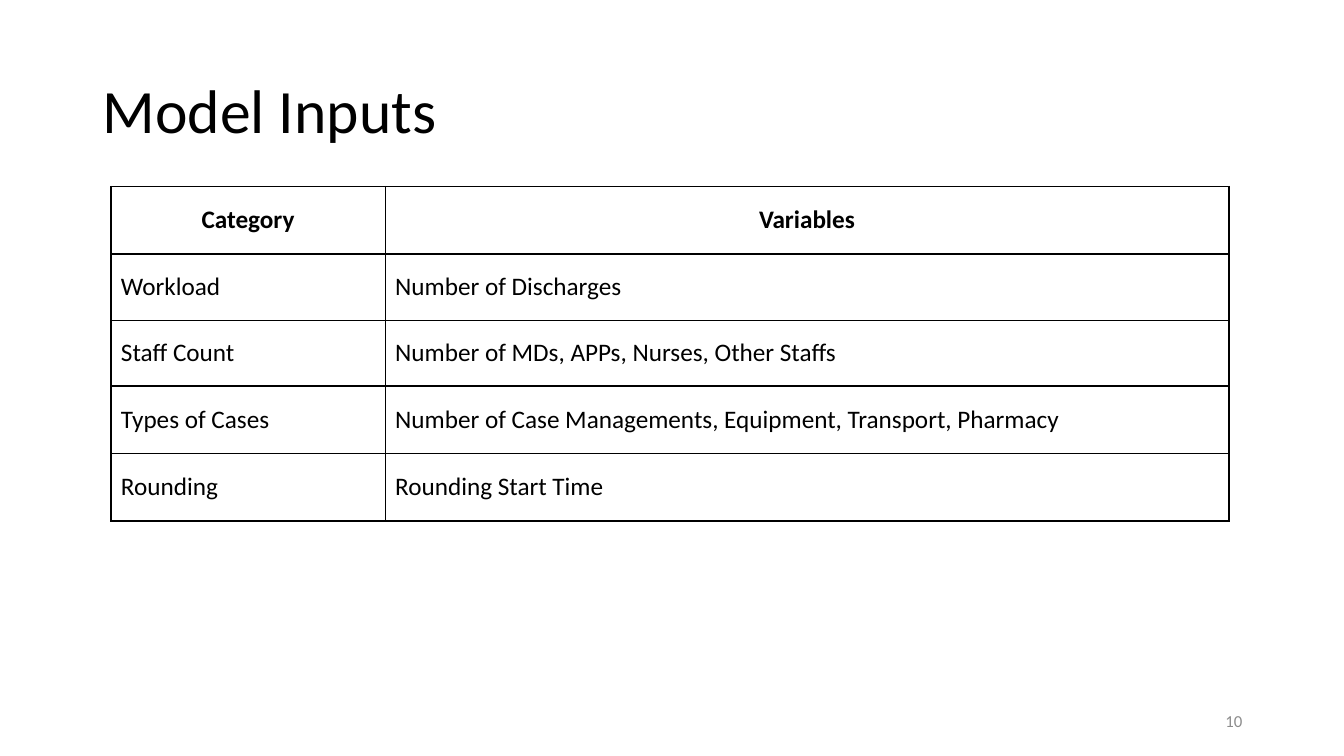
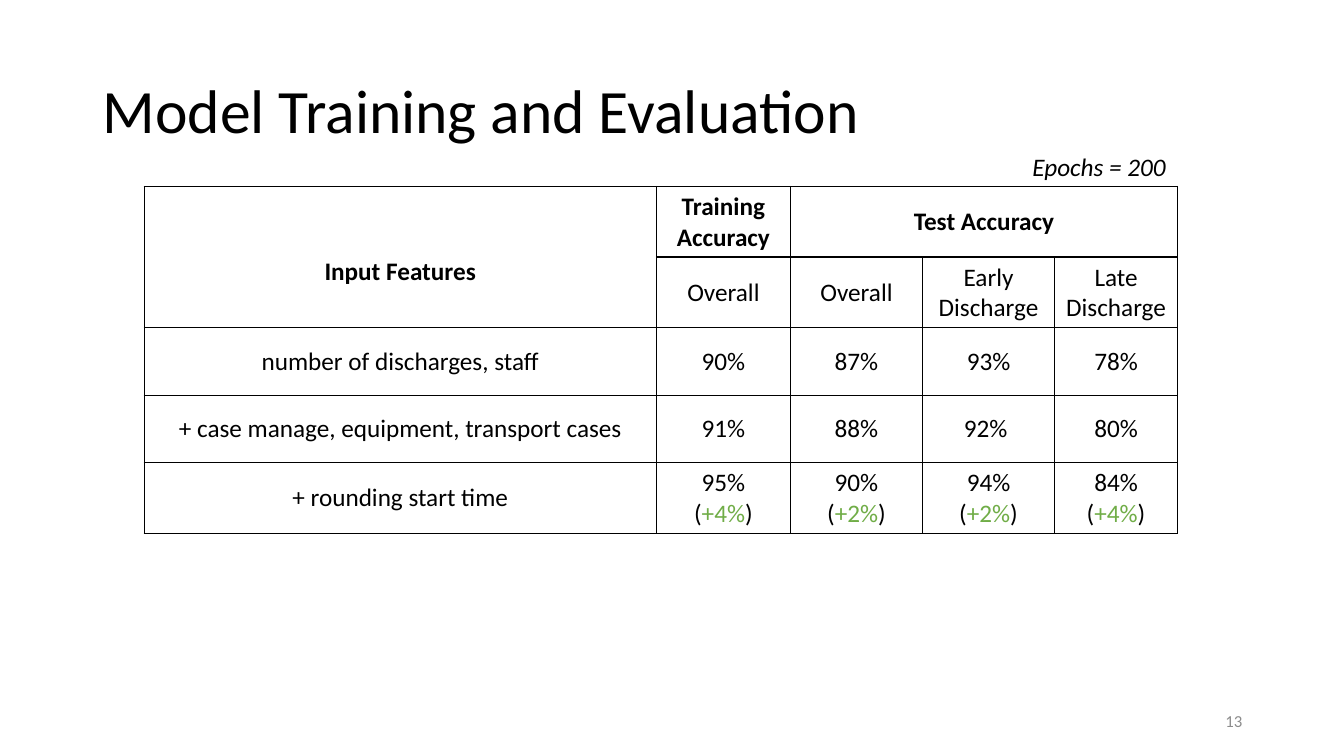
from lxml import etree
from pptx import Presentation
from pptx.dml.color import RGBColor
from pptx.enum.text import MSO_ANCHOR, MSO_AUTO_SIZE, PP_ALIGN
from pptx.oxml.ns import qn
from pptx.util import Emu, Pt

PX = 9144
BLACK = RGBColor(0x00, 0x00, 0x00)
GREY = RGBColor(0x8C, 0x8C, 0x8C)
GREEN = RGBColor(0x70, 0xAD, 0x47)
FONT = "Calibri"
LEFT, CENTER, RIGHT = PP_ALIGN.LEFT, PP_ALIGN.CENTER, PP_ALIGN.RIGHT
MIDDLE, TOP = MSO_ANCHOR.MIDDLE, MSO_ANCHOR.TOP
NO_AUTOFIT = MSO_AUTO_SIZE.NONE
TITLE_ONLY = 5

TITLE_BOX = (92, 40, 1150, 145)
NUMBER_BOX = (942, 695, 300, 40)
EPOCHS_BOX = (1014, 145, 156, 40)
TABLE_TOP = 185
HEADER_DROP = 35

INPUT_COLUMNS = (272, 837)
INPUT_ROW_HEIGHTS = (67, 66, 65, 67, 67)
INPUT_ROWS = (
    ("Category", "Variables"),
    ("Workload", "Number of Discharges"),
    ("Staff Count", "Number of MDs, APPs, Nurses, Other Staffs"),
    ("Types of Cases",
     "Number of Case Managements, Equipment, Transport, Pharmacy"),
    ("Rounding", "Rounding Start Time"),
)

ACCURACY_COLUMNS = (508, 133, 131, 131, 122)
ACCURACY_ROW_HEIGHTS = (67, 58, 67, 67, 67)
ACCURACY_ROWS = (
    ("Input Features", "Training Accuracy", "Test Accuracy", "", ""),
    ("", "Overall", "Overall", "Early Discharge", "Late Discharge"),
    ("number of discharges, staff", "90%", "87%", "93%", "78%"),
    ("+ case manage, equipment, transport cases",
     "91%", "88%", "92% ", "80%"),
    ("+ rounding start time",
     ("95%", "+4%"), ("90%", "+2%"), ("94%", "+2%"), ("84%", "+4%")),
)


def px(*lengths):
    return [Emu(length * PX) for length in lengths]


def add_run(paragraph, text, color=BLACK, **formats):
    run = paragraph.add_run()
    run.text = text
    run.font.color.rgb = color
    for name, value in {"name": FONT, "size": Pt(18), **formats}.items():
        setattr(run.font, name, value)


def add_label(slide, box, text, align=LEFT, anchor=TOP, wrap=True, **formats):
    frame = slide.shapes.add_textbox(*px(*box)).text_frame
    frame.word_wrap = wrap
    frame.vertical_anchor = anchor
    frame.paragraphs[0].alignment = align
    add_run(frame.paragraphs[0], text, **formats)


def add_titled_slide(deck, title, number):
    slide = deck.slides.add_slide(deck.slide_layouts[TITLE_ONLY])
    heading = slide.shapes.title
    for name, value in zip(("left", "top", "width", "height"), px(*TITLE_BOX)):
        setattr(heading, name, value)
    frame = heading.text_frame
    frame.auto_size = NO_AUTOFIT
    frame.vertical_anchor = MIDDLE
    paragraph = frame.paragraphs[0]
    paragraph.alignment = LEFT
    paragraph.line_spacing = 0.9
    add_run(paragraph, title, size=Pt(44))
    add_label(slide, NUMBER_BOX, number, RIGHT, MIDDLE,
              color=GREY, size=Pt(12))
    return slide


def draw_borders(cell):
    properties = cell._tc.get_or_add_tcPr()
    for side in ("a:lnL", "a:lnR", "a:lnT", "a:lnB"):
        line = etree.SubElement(properties, qn(side), w=str(Pt(1)))
        fill = etree.SubElement(line, qn("a:solidFill"))
        etree.SubElement(fill, qn("a:srgbClr"), val=str(BLACK))


def fill_cell(cell, content, align, bold):
    draw_borders(cell)
    cell.fill.background()
    cell.vertical_anchor = MIDDLE
    value, gain = content if isinstance(content, tuple) else (content, None)
    paragraph = cell.text_frame.paragraphs[0]
    paragraph.alignment = align
    if value:
        add_run(paragraph, value, bold=bold)
    if gain:
        change = cell.text_frame.add_paragraph()
        change.alignment = align
        for text, color in (("(", BLACK), (gain, GREEN), (")", BLACK)):
            add_run(change, text, color)


def add_grid(slide, left, columns, heights, rows, body_align):
    box = px(left, TABLE_TOP, sum(columns), sum(heights))
    table = slide.shapes.add_table(len(rows), len(columns), *box).table
    table.first_row = table.horz_banding = False
    for column, width in zip(table.columns, px(*columns)):
        column.width = width
    for row, height in zip(table.rows, px(*heights)):
        row.height = height
    for r, contents in enumerate(rows):
        for c, content in enumerate(contents):
            align = body_align if r else CENTER
            fill_cell(table.cell(r, c), content, align, bold=r == 0)
    return table


def add_inputs_slide(deck):
    slide = add_titled_slide(deck, "Model Inputs", "10")
    add_grid(slide, 110, INPUT_COLUMNS, INPUT_ROW_HEIGHTS, INPUT_ROWS, LEFT)


def add_evaluation_slide(deck):
    slide = add_titled_slide(deck, "Model Training and Evaluation", "13")
    accuracy = add_grid(slide, 143, ACCURACY_COLUMNS, ACCURACY_ROW_HEIGHTS,
                        ACCURACY_ROWS, CENTER)
    features = accuracy.cell(0, 0)
    features.merge(accuracy.cell(1, 0))
    features.margin_top = Emu(HEADER_DROP * PX)
    accuracy.cell(0, 2).merge(accuracy.cell(0, 4))
    add_label(slide, EPOCHS_BOX, "Epochs = 200", wrap=False, italic=True)


def main():
    deck = Presentation()
    deck.slide_width, deck.slide_height = px(1333, 750)
    add_inputs_slide(deck)
    add_evaluation_slide(deck)
    deck.save("out.pptx")


if __name__ == "__main__":
    main()
